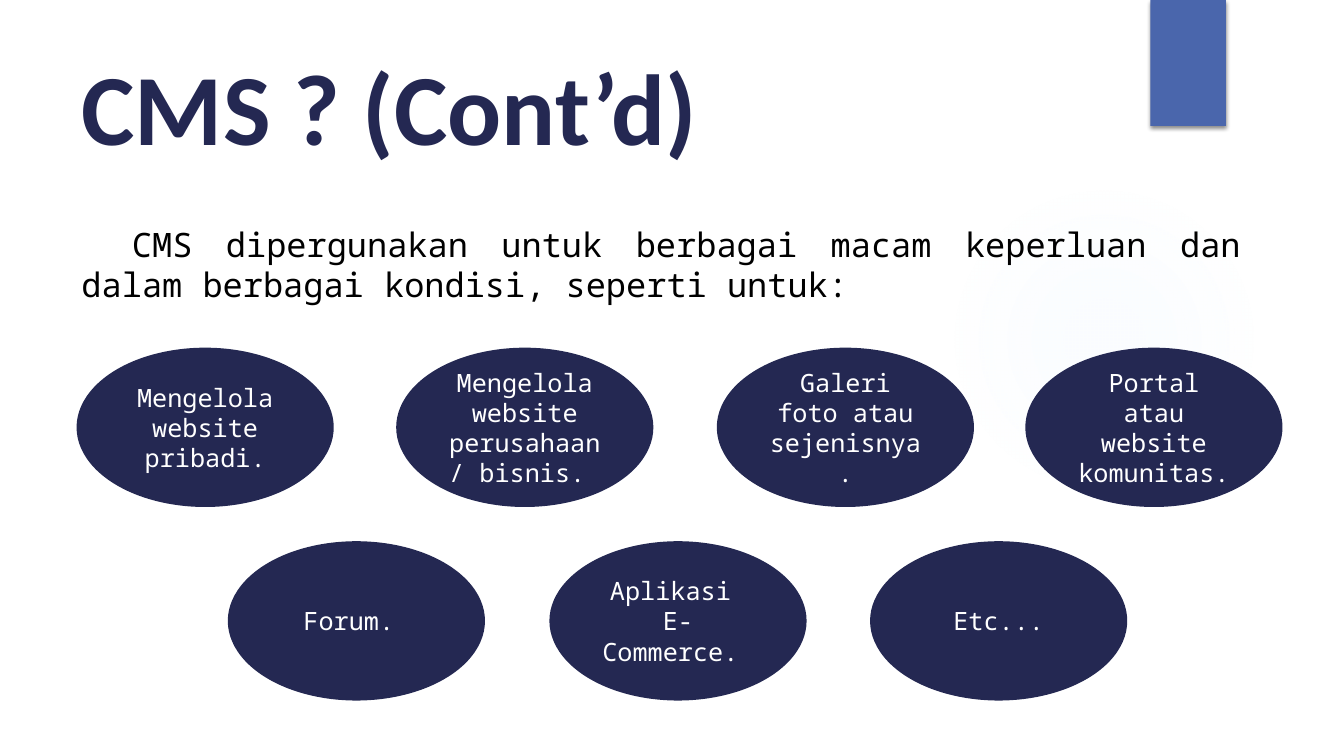
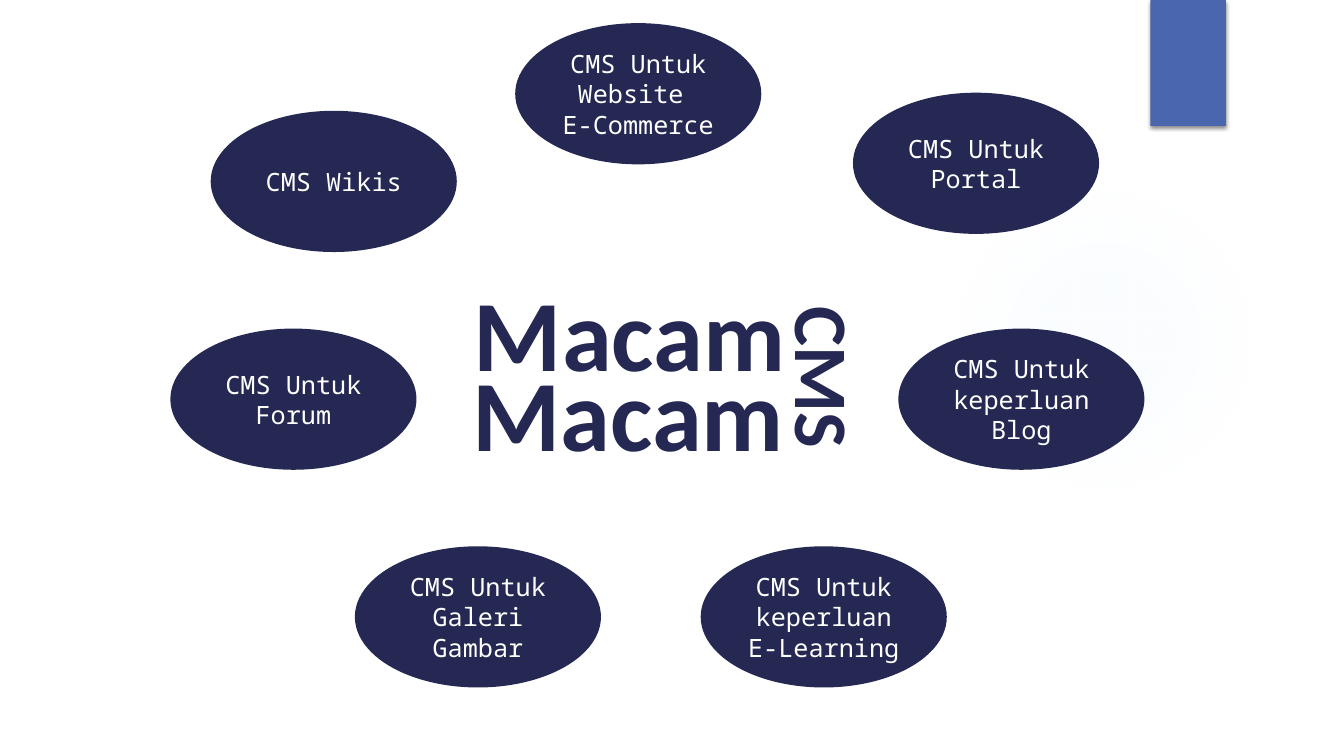
from lxml import etree
from pptx import Presentation
from pptx.dml.color import RGBColor as Rgb
from pptx.enum.shapes import MSO_SHAPE as Kind
from pptx.enum.text import MSO_ANCHOR as Anchor, PP_ALIGN as Align
from pptx.oxml import parse_xml
from pptx.util import Inches, Pt

COLORS = {"navy": "242852", "blue": "4A66AC", "glow": "CDE0FB",
          "text": "000000", "white": "FFFFFF"}
HEAD, BODY = "Calibri", "Noto Sans Mono"
NS = 'xmlns:a="http://schemas.openxmlformats.org/drawingml/2006/main"'


class Deck:
    def __init__(self):
        self.prs = Presentation()
        self.prs.slide_width = Inches(13.33)
        self.prs.slide_height = Inches(7.5)
        self.slide = None

    def start(self):
        """Add a slide with the shared glow and corner band."""
        self.slide = self.prs.slides.add_slide(self.prs.slide_layouts[5])
        self.glow()
        self.band()

    def shape(self, kind, box, color):
        item = self.slide.shapes.add_shape(kind, *map(Inches, box))
        item.shadow.inherit = False
        item.fill.solid()
        item.fill.fore_color.rgb = Rgb.from_string(COLORS[color])
        item.line.fill.background()
        return item

    def glow(self):
        item = self.shape(Kind.OVAL, (9.41, 1.83, 3.08, 3.08), "glow")
        stops = "".join(
            f'<a:gs pos="{pos * 1000}"><a:srgbClr val="{COLORS["glow"]}">'
            f'<a:alpha val="{alpha * 1000}"/></a:srgbClr></a:gs>'
            for pos, alpha in ((0, 7), (36, 6), (69, 0)))
        grad = parse_xml(
            f'<a:gradFill {NS}><a:gsLst>{stops}</a:gsLst><a:path path="circle">'
            '<a:fillToRect l="50000" t="50000" r="50000" b="50000"/>'
            '</a:path></a:gradFill>')
        props = item.element.spPr
        solid = props.find("{*}solidFill")
        props.replace(solid, grad)

    def band(self):
        item = self.shape(Kind.RECTANGLE, (11.41, 0, 0.75, 1.25), "blue")
        shade = etree.fromstring(
            f'<a:outerShdw {NS} blurRad="{Pt(3)}" dist="{Pt(2)}" dir="5400000" '
            'algn="ctr" rotWithShape="0"><a:srgbClr val="000000">'
            '<a:alpha val="45000"/></a:srgbClr></a:outerShdw>')
        item.element.spPr.find("{*}effectLst").append(shade)

    def fill(self, frame, text, size, face, color, align=Align.LEFT, bold=False):
        """Put styled text into a frame."""
        frame.text = text
        for para in frame.paragraphs:
            para.alignment = align
            for run in para.runs:
                font = run.font
                font.size, font.name, font.bold = Pt(size), face, bold
                font.color.rgb = Rgb.from_string(COLORS[color])

    def title(self, text, box):
        item = self.slide.shapes.title
        item.left, item.top, item.width, item.height = map(Inches, box)
        frame = item.text_frame
        self.fill(frame, text, 72, HEAD, "navy", bold=True)
        frame.vertical_anchor = Anchor.MIDDLE
        frame.paragraphs[0].line_spacing = 0.9

    def label(self, text, box, size, turn=0):
        """Add a bold unwrapped line, turned clockwise by some degrees."""
        item = self.slide.shapes.add_textbox(*map(Inches, box))
        item.rotation = turn
        item.text_frame.word_wrap = False
        self.fill(item.text_frame, text, size, HEAD, "navy", bold=True)

    def intro(self, text, box):
        frame = self.slide.shapes.add_textbox(*map(Inches, box)).text_frame
        frame.word_wrap = True
        self.fill(frame, text, 24, BODY, "text", Align.JUSTIFY)
        para = frame.paragraphs[0]
        para._p.get_or_add_pPr().set("indent", str(Inches(0.5)))

    def oval(self, text, left, top, size):
        item = self.shape(Kind.OVAL, (left, top, *size), "navy")
        item.line.color.rgb = Rgb.from_string(COLORS["navy"])
        item.line.width = Pt(1.5)
        frame = item.text_frame
        frame.word_wrap = True
        frame.vertical_anchor = Anchor.MIDDLE
        self.fill(frame, text, 18, BODY, "white", Align.CENTER)


def uses(deck):
    deck.start()
    deck.title("CMS ? (Cont’d)", (0.71, 0.35, 10.29, 1.53))
    deck.intro("CMS dipergunakan untuk berbagai macam keperluan dan dalam "
               "berbagai kondisi, seperti untuk:", (0.71, 2.17, 11.69, 1.31))
    rows = (
        (3.46, ((0.77, "Mengelola website pribadi."),
                (3.94, "Mengelola website perusahaan / bisnis. "),
                (7.12, "Galeri foto atau sejenisnya."),
                (10.18, "Portal atau website komunitas. "))),
        (5.38, ((2.27, "Forum. "),
                (5.46, "Aplikasi \nE-Commerce. "),
                (8.64, "Etc..."))),
    )
    for top, cells in rows:
        for left, text in cells:
            deck.oval(text, left, top, (2.53, 1.56))


def kinds(deck):
    deck.start()
    deck.title("Macam", (4.6, 2.6, 3.96, 1.53))
    deck.label("Macam", (4.59, 3.43, 3.32, 1.31), 72)
    deck.label("CMS", (7.37, 3.25, 1.62, 1.01), 54, turn=90)
    ring = (
        ("CMS Untuk Website \nE-Commerce", 5.12, 0.24),
        ("CMS Untuk Portal", 8.47, 0.93),
        ("CMS Untuk keperluan Blog", 8.92, 3.27),
        ("CMS Untuk keperluan E-Learning", 6.96, 5.43),
        ("CMS Untuk Galeri Gambar", 3.53, 5.43),
        ("CMS Untuk Forum", 1.7, 3.27),
        ("CMS Wikis", 2.1, 1.11),
    )
    for text, left, top in ring:
        deck.oval(text, left, top, (2.42, 1.38))


def main():
    deck = Deck()
    uses(deck)
    kinds(deck)
    deck.prs.save("out.pptx")


if __name__ == "__main__":
    main()
